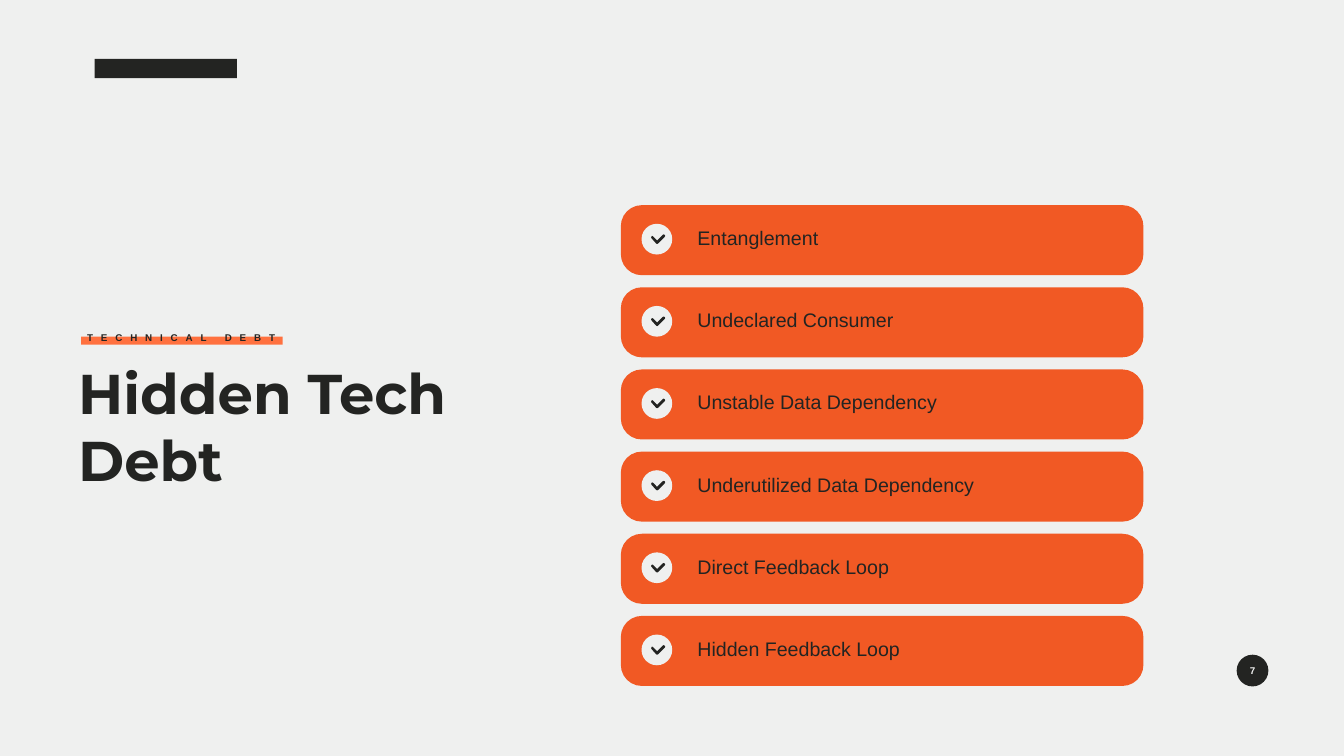
from pptx import Presentation
from pptx.dml.color import RGBColor
from pptx.enum.shapes import MSO_SHAPE
from pptx.enum.text import MSO_ANCHOR, MSO_AUTO_SIZE, PP_ALIGN
from pptx.util import Inches, Pt

PAPER = RGBColor(0xEF, 0xF0, 0xEF)
INK = RGBColor(0x23, 0x24, 0x22)
ORANGE = RGBColor(0xF1, 0x59, 0x24)
CORAL = RGBColor(0xFF, 0x71, 0x3F)
WHITE = RGBColor(0xF0, 0xF0, 0xF0)

TITLE = "Hidden Tech Debt"
LABEL = "TECHNICAL DEBT"
PAGE = "7"
DEBTS = [
    "Entanglement",
    "Undeclared Consumer",
    "Unstable Data Dependency",
    "Underutilized Data Dependency",
    "Direct Feedback Loop",
    "Hidden Feedback Loop",
]

WIDTH, HEIGHT = 26.67, 15
LEFT, TOP, PITCH = 12.32, 4.07, 1.63
BAR_W, BAR_H = 10.37, 1.39
DOT, TICK_W, TICK_H = 0.61, 0.28, 0.19
TEXT_H = 0.48
# Tick outline in hundredths of an inch
TICK = [(14, 18), (27, 5), (28, 3), (27, 1), (25, 0), (23, 1), (12, 12),
        (4, 4), (2, 3), (1, 4), (0, 6), (1, 8), (10, 18), (12, 19)]

TITLE_FONT = {"name": "Montserrat", "size": Pt(80), "bold": True}
LABEL_FONT = {"name": "Arial", "size": Pt(14), "bold": True}
ITEM_FONT = {"name": "Arial", "size": Pt(28), "bold": False}


def paint(shape, color):
    shape.shadow.inherit = False
    shape.fill.solid()
    shape.fill.fore_color.rgb = color
    shape.line.fill.background()
    return shape


def block(slide, kind, box, color):
    return paint(slide.shapes.add_shape(kind, *map(Inches, box)), color)


def write(shape, text, font, color=INK, inset=0.06, **style):
    """Fill a shape with one paragraph; style holds paragraph attributes."""
    frame = shape.text_frame
    frame.word_wrap = True
    frame.auto_size = MSO_AUTO_SIZE.NONE
    frame.vertical_anchor = MSO_ANCHOR.TOP
    for side in ("left", "top", "right", "bottom"):
        setattr(frame, f"margin_{side}", Inches(inset))
    para = frame.paragraphs[0]
    for name, value in {"alignment": PP_ALIGN.LEFT, **style}.items():
        setattr(para, name, value)
    run = para.add_run()
    run.text = text
    for name, value in font.items():
        setattr(run.font, name, value)
    run.font.color.rgb = color
    return run


def add_text(slide, box, text, font, **style):
    return write(slide.shapes.add_textbox(*map(Inches, box)), text, font, **style)


def add_tick(slide, left, top):
    pen = slide.shapes.build_freeform(*TICK[0], scale=Inches(0.01))
    pen.add_line_segments(TICK[1:], close=True)
    paint(pen.convert_to_shape(Inches(left), Inches(top)), INK)


def add_debt(slide, row, text):
    top = TOP + row * PITCH
    mid = top + BAR_H / 2
    bar = block(slide, MSO_SHAPE.ROUNDED_RECTANGLE, (LEFT, top, BAR_W, BAR_H), ORANGE)
    bar.adjustments[0] = 0.3
    block(slide, MSO_SHAPE.OVAL, (LEFT + 0.41, mid - DOT / 2 - 0.02, DOT, DOT), PAPER)
    add_tick(slide, LEFT + 0.6, mid - TICK_H / 2 - 0.02)
    add_text(slide, (LEFT + 1.46, mid - TEXT_H / 2, 8.5, TEXT_H), text,
             ITEM_FONT, line_spacing=Pt(26.4))


def main():
    deck = Presentation()
    deck.slide_width, deck.slide_height = Inches(WIDTH), Inches(HEIGHT)
    slide = deck.slides.add_slide(deck.slide_layouts[5])
    slide.background.fill.solid()
    slide.background.fill.fore_color.rgb = PAPER

    block(slide, MSO_SHAPE.RECTANGLE, (1.88, 1.17, 2.82, 0.38), INK)

    title = slide.shapes.title
    title.left, title.top, title.width, title.height = map(
        Inches, (1.49, 7.05, 8.28, 2.8))
    write(title, TITLE, TITLE_FONT)

    block(slide, MSO_SHAPE.RECTANGLE, (1.61, 6.68, 4, 0.16), CORAL)
    label = add_text(slide, (1.67, 6.47, 4.02, 0.37), LABEL, LABEL_FONT,
                     line_spacing=1.2)
    label.font._element.set("spc", "1120")

    for row, text in enumerate(DEBTS):
        add_debt(slide, row, text)

    badge = block(slide, MSO_SHAPE.OVAL, (24.54, 12.99, 0.63, 0.63), INK)
    write(badge, PAGE, LABEL_FONT, WHITE, 0, alignment=PP_ALIGN.CENTER)
    badge.text_frame.vertical_anchor = MSO_ANCHOR.MIDDLE

    deck.save("out.pptx")


if __name__ == "__main__":
    main()
